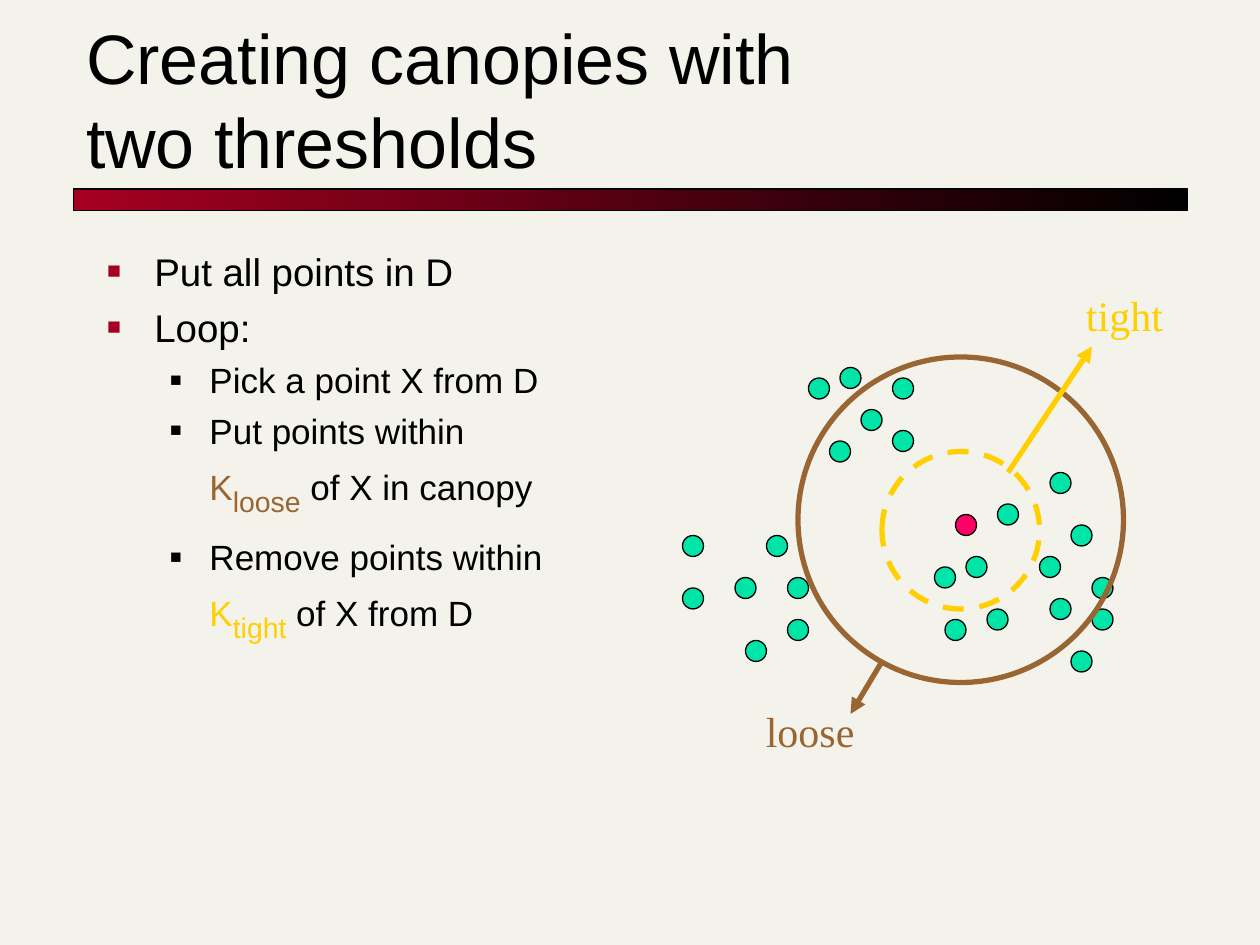
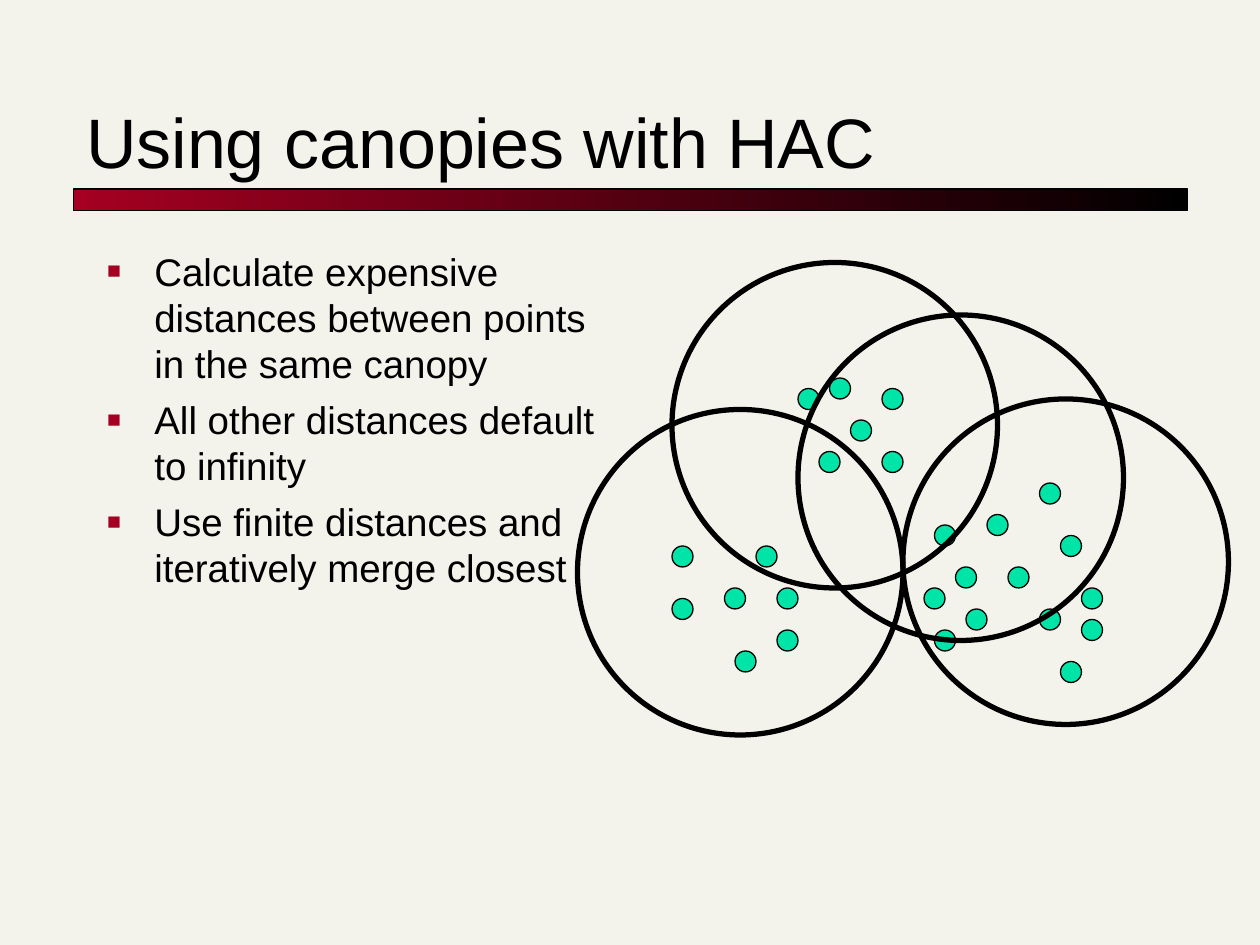
"""Builds two slides on canopy clustering."""
import pptx
import pptx.util
import pptx.dml.color
import pptx.enum.dml
import pptx.enum.shapes
import pptx.enum.text
import pptx.oxml
import pptx.oxml.ns

Pt = pptx.util.Pt
qn = pptx.oxml.ns.qn
OVAL = pptx.enum.shapes.MSO_SHAPE.OVAL
DASH = pptx.enum.dml.MSO_LINE.DASH
INK, RED, BROWN, GOLD = "000000", "A50021", "996633", "FFCF01"
GREEN, PINK, PAPER = "00E4A8", "FF0066", "F4F3EB"
UNIT = 6


def hue(code):
    return pptx.dml.color.RGBColor.from_string(code)


def disc(slide, left, top, size, line, width, fill=None):
    shape = slide.shapes.add_shape(
        OVAL, Pt(left * UNIT), Pt(top * UNIT), Pt(size * UNIT), Pt(size * UNIT))
    shape.shadow.inherit = False
    shape.line.color.rgb = hue(line)
    shape.line.width = Pt(width)
    if fill:
        shape.fill.solid()
        shape.fill.fore_color.rgb = hue(fill)
    else:
        shape.fill.background()
    return shape


decks = [
    {
        "title": ["Creating canopies with ", "\n", "two thresholds"],
        "list": [
            (0, 0, [("Put all points in D", None)]),
            (0, 5.5, [("Loop:", None)]),
            (1, 5, [("Pick a point X from D", None)]),
            (1, 5, [("Put points within ", None), ("\n", None), ("K", BROWN),
                    ("loose", BROWN), (" of X in canopy", None)]),
            (1, 10, [("Remove points within ", None), ("K", GOLD),
                     ("tight", GOLD), (" of X from D", None)]),
        ],
        "dots": [
            (77, 36), (80, 35), (85, 36), (82, 39), (79, 42), (85, 41), (65, 51),
            (73, 51), (70, 55), (65, 56), (71, 61), (75, 55), (75, 59), (89, 54),
            (92, 53), (94, 58), (90, 59), (91, 49), (95, 48), (102, 62), (99, 53),
            (100, 57), (102, 50), (104, 58), (100, 45), (104, 55)],
        "seed": (91, 49),
        "rings": [(76, 34, 31, BROWN, None), (84, 43, 15, GOLD, DASH)],
        "marks": [("loose", 430.5, 399.5, 68, BROWN), ("tight", 613.5, 162, 64, GOLD)],
        "rays": [(84, 63, 81, 68, BROWN), (96, 45, 104, 33, GOLD)],
    },
    {
        "title": ["Using canopies with HAC"],
        "list": [
            (0, 0, [("Calculate expensive distances between points in the same canopy", None)]),
            (0, 5.5, [("All other distances default to infinity", None)]),
            (0, 5.5, [("Use finite distances and iteratively merge closest", None)]),
        ],
        "dots": [
            (76, 37), (79, 36), (84, 37), (81, 40), (78, 43), (84, 43), (64, 52),
            (72, 52), (69, 56), (64, 57), (70, 62), (74, 56), (74, 60), (88, 56),
            (91, 54), (92, 58), (89, 60), (89, 50), (94, 49), (101, 63), (96, 54),
            (99, 58), (101, 51), (103, 59), (99, 46), (103, 56)],
        "seed": None,
        "rings": [(left, top, 31, INK, None)
                  for left, top in [(86, 38), (76, 30), (64, 25), (55, 39)]],
        "marks": [],
        "rays": [],
    },
]

prs = pptx.Presentation()
prs.slide_width, prs.slide_height = Pt(720), Pt(540)
master = prs.slide_master
master.background.fill.solid()
master.background.fill.fore_color.rgb = hue(PAPER)

styles = [("titleStyle", 1, 40, 0, 0, None, 0), ("bodyStyle", 1, 22, 27, -27, RED, 60),
          ("bodyStyle", 2, 20, 58.5, -22.5, INK, 55)]
for name, rank, size, left, hang, tint, scale in styles:
    level = next(master.element.iter(qn(f"p:{name}"))).find(qn(f"a:lvl{rank}pPr"))
    level.set("algn", "l")
    level.set("marL", str(Pt(left)))
    level.set("indent", str(Pt(hang)))
    base = level.find(qn("a:defRPr"))
    base.set("sz", str(size * 100))
    base.find(qn("a:latin")).set("typeface", "Arial")
    if tint:
        for child in list(level):
            if child is not base:
                level.remove(child)
        marks = pptx.oxml.parse_xml(
            '<a:pPr xmlns:a="http://schemas.openxmlformats.org/drawingml/2006/main">'
            f'<a:buClr><a:srgbClr val="{tint}"/></a:buClr><a:buSzPct val="{scale}000"/>'
            '<a:buFont typeface="Arial"/><a:buChar char="■"/></a:pPr>')
        for child in list(marks):
            base.addprevious(child)

for deck in decks:
    slide = prs.slides.add_slide(prs.slide_layouts[1])
    if deck is decks[0]:
        band = slide.shapes.add_shape(
            pptx.enum.shapes.MSO_SHAPE.RECTANGLE, Pt(42), Pt(108), Pt(636.5), Pt(12.5))
        band.shadow.inherit = False
        band.fill.gradient()
        band.fill.gradient_angle = 180
        for stop, place, tint in zip(band.fill.gradient_stops, (0, 1), (INK, RED)):
            stop.position = place
            stop.color.rgb = hue(tint)
        band.line.color.rgb = hue(INK)
        band.line.width = Pt(0.75)
        master.shapes.element.append(band.element)

    title, body = slide.placeholders
    title.left, title.top, title.width, title.height = Pt(42), Pt(30), Pt(636), Pt(78)
    body.left, body.top, body.width, body.height = Pt(54), Pt(138), Pt(300), Pt(384)
    for box in (title, body):
        box.text_frame.auto_size = pptx.enum.text.MSO_AUTO_SIZE.NONE
    title.text_frame.vertical_anchor = pptx.enum.text.MSO_ANCHOR.BOTTOM
    para = title.text_frame.paragraphs[0]
    for text in deck["title"]:
        if text == "\n":
            para.add_line_break()
        else:
            para.add_run().text = text

    for rank, (level, gap, runs) in enumerate(deck["list"]):
        frame = body.text_frame
        para = frame.add_paragraph() if rank else frame.paragraphs[0]
        para.level = level
        para.space_before = Pt(gap)
        for text, tint in runs:
            if text == "\n":
                para.add_line_break()
                continue
            run = para.add_run()
            run.text = text
            if tint:
                run.font.color.rgb = hue(tint)
            if text in ("loose", "tight"):
                run.font.size = Pt(28)
                run.font._element.set("baseline", "-25000")

    for dot in deck["dots"]:
        disc(slide, *dot, 2, INK, 0.75, PINK if dot == deck["seed"] else GREEN)
    for left, top, size, tint, dash in deck["rings"]:
        ring = disc(slide, left, top, size, tint, 3)
        if dash:
            ring.line.dash_style = dash

    for text, left, top, width, tint in deck["marks"]:
        frame = slide.shapes.add_textbox(Pt(left), Pt(top), Pt(width), Pt(36)).text_frame
        frame.word_wrap = False
        frame.auto_size = pptx.enum.text.MSO_AUTO_SIZE.NONE
        run = frame.paragraphs[0].add_run()
        run.text = text
        run.font.name = "Times New Roman"
        run.font.size = Pt(24)
        run.font.color.rgb = hue(tint)

    for *ends, tint in deck["rays"]:
        ray = slide.shapes.add_connector(
            pptx.enum.shapes.MSO_CONNECTOR.STRAIGHT, *[Pt(end * UNIT) for end in ends])
        ray.line.color.rgb = hue(tint)
        ray.line.width = Pt(3)
        head = pptx.oxml.parse_xml(
            '<a:tailEnd xmlns:a="http://schemas.openxmlformats.org/drawingml/2006/main"'
            ' type="triangle"/>')
        ray.line._get_or_add_ln().append(head)
        ray.element.spPr.append(pptx.oxml.parse_xml(
            '<a:effectLst xmlns:a="http://schemas.openxmlformats.org/drawingml/2006/main"/>'))

prs.save("out.pptx")
